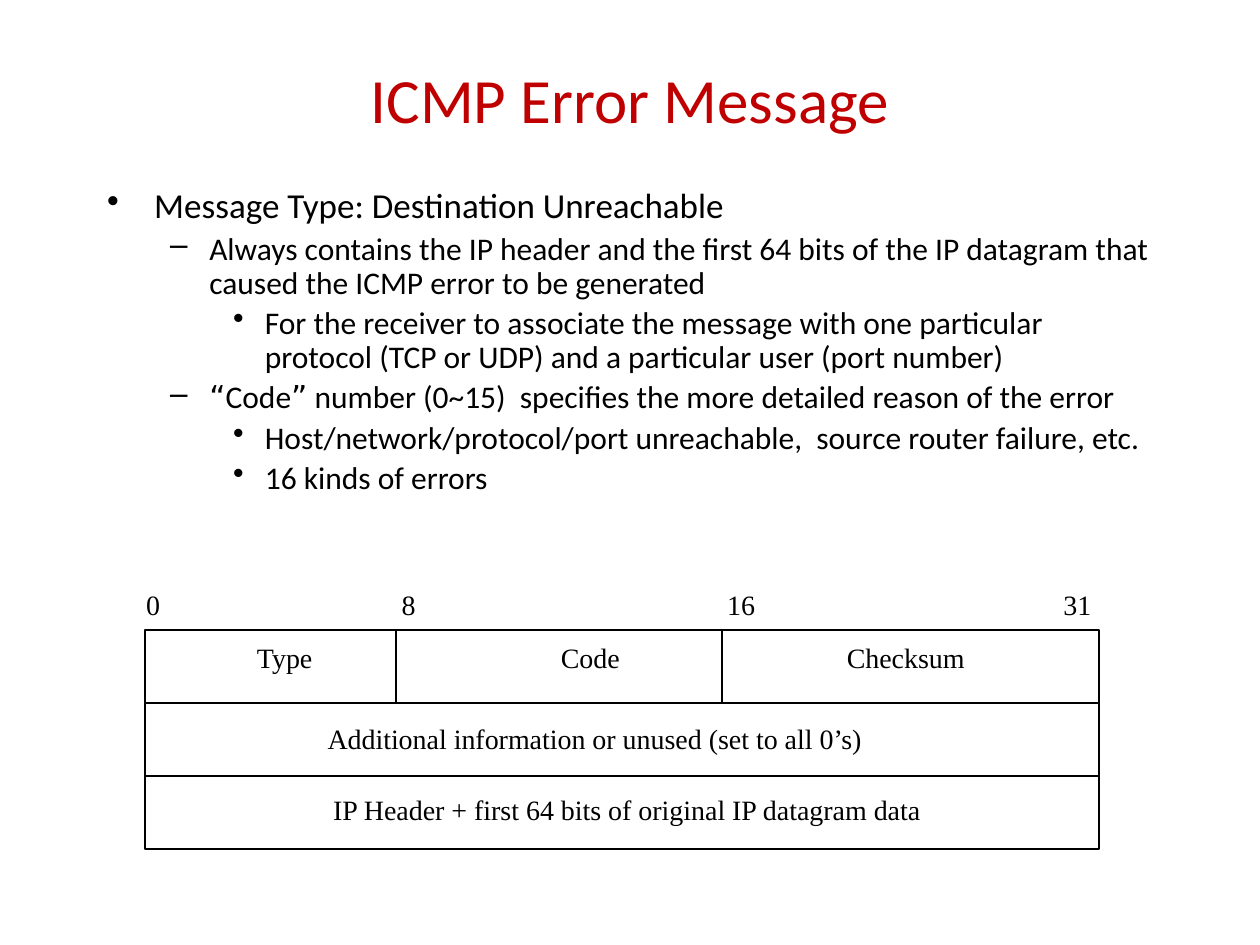
import pptx
import pptx.dml.color
import pptx.enum.shapes
import pptx.enum.text
import pptx.oxml.ns
import pptx.util
from lxml import etree

Cm = pptx.util.Cm
Pt = pptx.util.Pt
qn = pptx.oxml.ns.qn
ALIGN = pptx.enum.text.PP_ALIGN
ANCHOR = pptx.enum.text.MSO_ANCHOR

BULLETS = [("•", 0.95, 0.95, 20), ("–", 2.06, 0.79, 18), ("•", 3.18, 0.64, 18)]
BODY = [
    (0, "Message Type: Destination Unreachable"),
    (1, "Always contains the IP header and the first 64 bits of the IP datagram "
        "that caused the ICMP error to be generated"),
    (2, "For the receiver to associate the message with one particular protocol "
        "(TCP or UDP) and a particular user (port number)"),
    (1, "“Code” number (0~15)  specifies the more detailed reason of the error"),
    (2, "Host/network/protocol/port unreachable,  source router failure, etc."),
    (2, "16 kinds of errors"),
]
LABELS = [
    (11.71, [("0", 3.09, 0.79), ("8", 8.24, 0.79), ("16", 14.94, 1.07), ("31", 21.72, 1.07)]),
    (12.78, [("Type", 5.74, 1.68), ("Code", 11.9, 1.7), ("Checksum", 18.26, 2.9)]),
    (14.43, [("Additional information or unused (set to all 0’s)", 11.99, 11.38)]),
    (15.85, [("IP Header + first 64 bits of original IP datagram data", 12.64, 12.47)]),
]


def rgb(hex_color):
    return pptx.dml.color.RGBColor.from_string(hex_color)


class Deck:
    heading_font = "Calibri"
    quote_font = "DejaVu Sans"
    label_font = "Times New Roman"
    accent = "C00000"
    ink = "000000"

    def __init__(self):
        self.prs = pptx.Presentation()
        self.prs.slide_width = Cm(25.4)
        self.prs.slide_height = Cm(19.05)
        self.s = self.prs.slides.add_slide(self.prs.slide_layouts[6])

    def box(self, x, y, w, h, wrap=True):
        tf = self.s.shapes.add_textbox(Cm(x), Cm(y), Cm(w), Cm(h)).text_frame
        tf.word_wrap = wrap
        return tf

    def style(self, font, name, size, color):
        font.name = name
        font.size = Pt(size)
        font.color.rgb = rgb(color)

    def title(self, text, x, y, w, h):
        tf = self.box(x, y, w, h)
        tf.vertical_anchor = ANCHOR.MIDDLE
        p = tf.paragraphs[0]
        p.text = text
        p.alignment = ALIGN.CENTER
        self.style(p.font, self.heading_font, 36, self.accent)

    def bullets(self, items, x, y, w, h):
        tf = self.box(x, y, w, h)
        for i, (level, text) in enumerate(items):
            p = tf.add_paragraph() if i else tf.paragraphs[0]
            char, indent, hang, size = BULLETS[level]
            p.level = level
            p.line_spacing = 0.9
            p.space_before = Pt(size * 0.2)
            self.style(p.font, self.heading_font, size, self.ink)
            pPr = p._p.get_or_add_pPr()
            pPr.set("marL", str(Cm(indent)))
            pPr.set("indent", str(-Cm(hang)))
            bu = etree.Element(qn("a:buChar"), char=char)
            pPr.find(qn("a:defRPr")).addprevious(bu)
            self.quoted_runs(p, text, size)

    def quoted_runs(self, p, text, size):
        for part in text.replace("“", "|“|").replace("”", "|”|").split("|"):
            if part:
                r = p.add_run()
                r.text = part
                name = self.quote_font if part in "“”" else self.heading_font
                self.style(r.font, name, size, self.ink)

    def label(self, text, center, y, w):
        tf = self.box(center - w / 2, y, w, 0.94, wrap=False)
        tf.auto_size = pptx.enum.text.MSO_AUTO_SIZE.SHAPE_TO_FIT_TEXT
        p = tf.paragraphs[0]
        p.text = text
        p.alignment = ALIGN.CENTER
        self.style(p.font, self.label_font, 16, self.ink)

    def outline(self, sp):
        sp.line.color.rgb = rgb(self.ink)
        sp.line.width = Pt(1)

    def frame(self, x, y, w, h):
        kind = pptx.enum.shapes.MSO_SHAPE.RECTANGLE
        sp = self.s.shapes.add_shape(kind, Cm(x), Cm(y), Cm(w), Cm(h))
        sp.shadow.inherit = False
        sp.fill.background()
        self.outline(sp)

    def line(self, x1, y1, x2, y2):
        kind = pptx.enum.shapes.MSO_CONNECTOR.STRAIGHT
        sp = self.s.shapes.add_connector(kind, Cm(x1), Cm(y1), Cm(x2), Cm(y2))
        self.outline(sp)
        etree.SubElement(sp._element.spPr, qn("a:effectLst"))


def main():
    deck = Deck()
    deck.title("ICMP Error Message", 1.27, 0.76, 22.86, 2.46)
    deck.bullets(BODY, 1.91, 3.68, 21.59, 8.33)

    left, top, width, height = 2.92, 12.7, 19.23, 4.42
    row = height / 3
    deck.frame(left, top, width, height)
    for y, labels in LABELS:
        for text, center, w in labels:
            deck.label(text, center, y, w)
    for i in (1, 2):
        deck.line(left, top + i * row, left + width, top + i * row)
    for x in (7.98, 14.55):
        deck.line(x, top, x, top + row)

    deck.prs.save("out.pptx")


if __name__ == "__main__":
    main()
